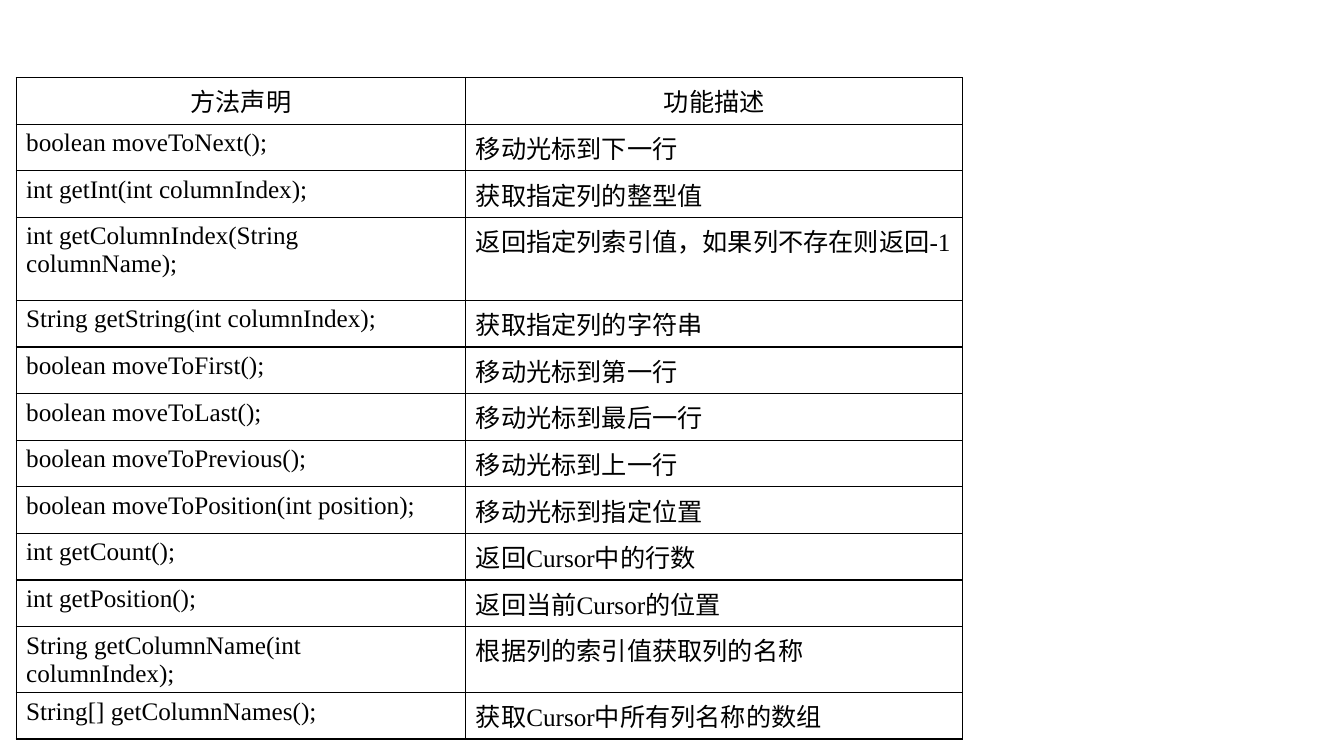
import pptx
import pptx.dml.color
import pptx.enum.lang
import pptx.enum.text
import pptx.oxml
import pptx.oxml.ns
import pptx.util

Inches = pptx.util.Inches
Pt = pptx.util.Pt
BLACK = pptx.dml.color.RGBColor(0, 0, 0)

SLIDE_WIDTH, SLIDE_HEIGHT = 13.33, 7.5
TABLE_LEFT, TABLE_TOP = 0.16, 0.77
COLUMN_WIDTHS = (4.46, 4.93)
ROW_HEIGHT = 0.41
BORDER_WIDTH = Pt(1)

METHODS = [
    ("方法声明", "功能描述"),
    ("boolean moveToNext();", "移动光标到下一行"),
    ("int getInt(int columnIndex);", "获取指定列的整型值"),
    ("int getColumnIndex(String columnName);", "返回指定列索引值，如果列不存在则返回-1"),
    ("String getString(int columnIndex);", "获取指定列的字符串"),
    ("boolean moveToFirst();", "移动光标到第一行"),
    ("boolean moveToLast();", "移动光标到最后一行"),
    ("boolean moveToPrevious();", "移动光标到上一行"),
    ("boolean moveToPosition(int position);", "移动光标到指定位置"),
    ("int getCount();", "返回Cursor中的行数"),
    ("int getPosition();", "返回当前Cursor的位置"),
    ("String getColumnName(int columnIndex);", "根据列的索引值获取列的名称"),
    ("String[] getColumnNames();", "获取Cursor中所有列名称的数组"),
]


def add_borders(cell):
    """Draw a solid line on all four sides; call before setting the fill."""
    properties = cell._tc.get_or_add_tcPr()
    for side in ("lnL", "lnR", "lnT", "lnB"):
        properties.append(pptx.oxml.parse_xml(
            f'<a:{side} {pptx.oxml.ns.nsdecls("a")} w="{BORDER_WIDTH}">'
            f'<a:solidFill><a:srgbClr val="{BLACK}"/></a:solidFill></a:{side}>'))


def fill_cell(cell, text, is_header):
    add_borders(cell)
    cell.fill.background()
    cell.text = text
    para = cell.text_frame.paragraphs[0]
    if is_header:
        para.alignment = pptx.enum.text.PP_ALIGN.CENTER
    para.font.name = "Times New Roman"
    para.font.size = Pt(18)
    para.font.bold = False
    para.font.color.rgb = BLACK
    para.font.language_id = pptx.enum.lang.MSO_LANGUAGE_ID.SIMPLIFIED_CHINESE


def main():
    deck = pptx.Presentation()
    deck.slide_width = Inches(SLIDE_WIDTH)
    deck.slide_height = Inches(SLIDE_HEIGHT)
    page = deck.slides.add_slide(deck.slide_layouts[6])

    table = page.shapes.add_table(
        len(METHODS), len(COLUMN_WIDTHS), Inches(TABLE_LEFT), Inches(TABLE_TOP),
        Inches(sum(COLUMN_WIDTHS)), Inches(ROW_HEIGHT * len(METHODS))).table
    table.first_row = False
    table.horz_banding = False
    for column, width in zip(table.columns, COLUMN_WIDTHS):
        column.width = Inches(width)
    for row_index, (row, texts) in enumerate(zip(table.rows, METHODS)):
        row.height = Inches(ROW_HEIGHT)
        for cell, text in zip(row.cells, texts):
            fill_cell(cell, text, is_header=row_index == 0)

    deck.save("out.pptx")


if __name__ == "__main__":
    main()
